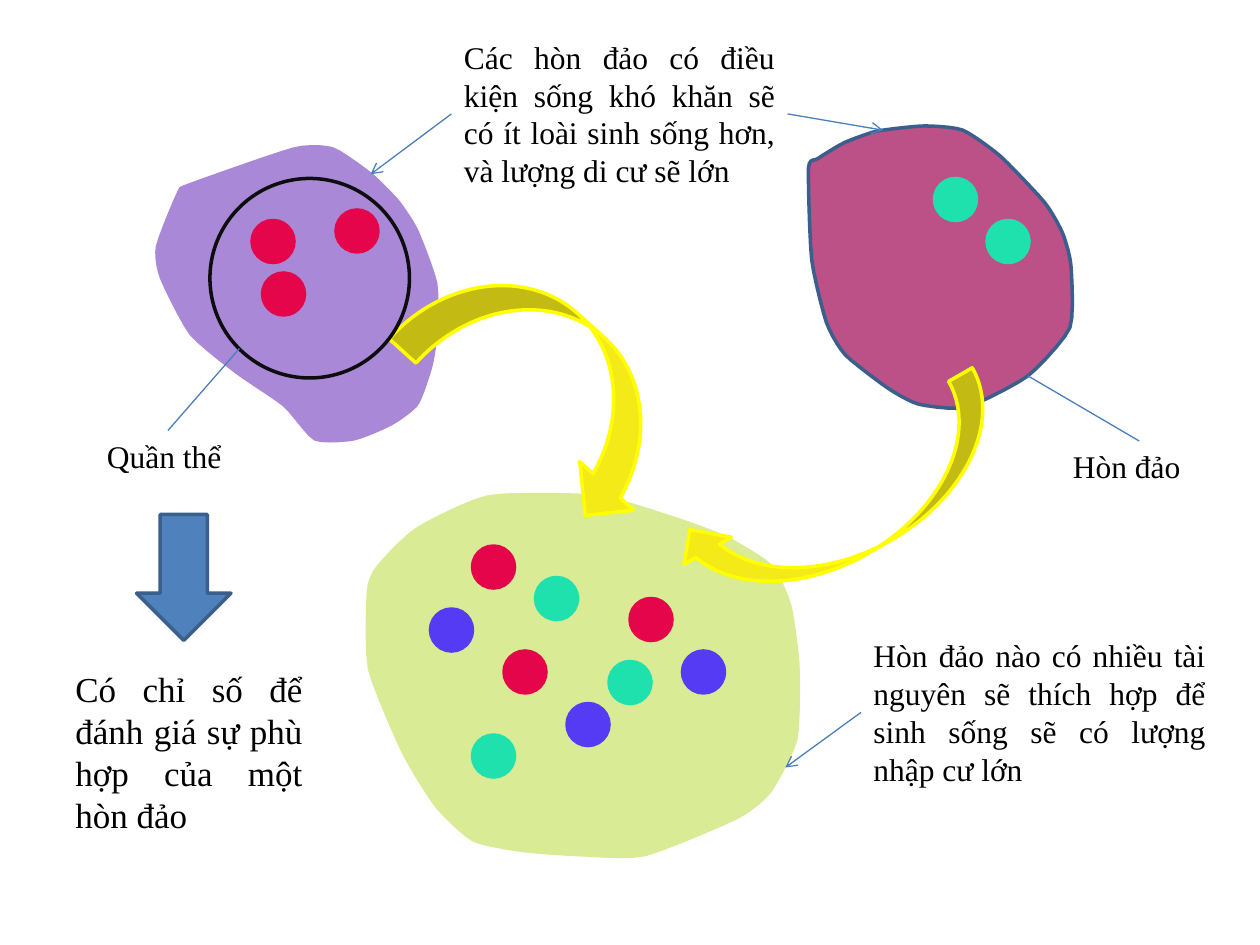
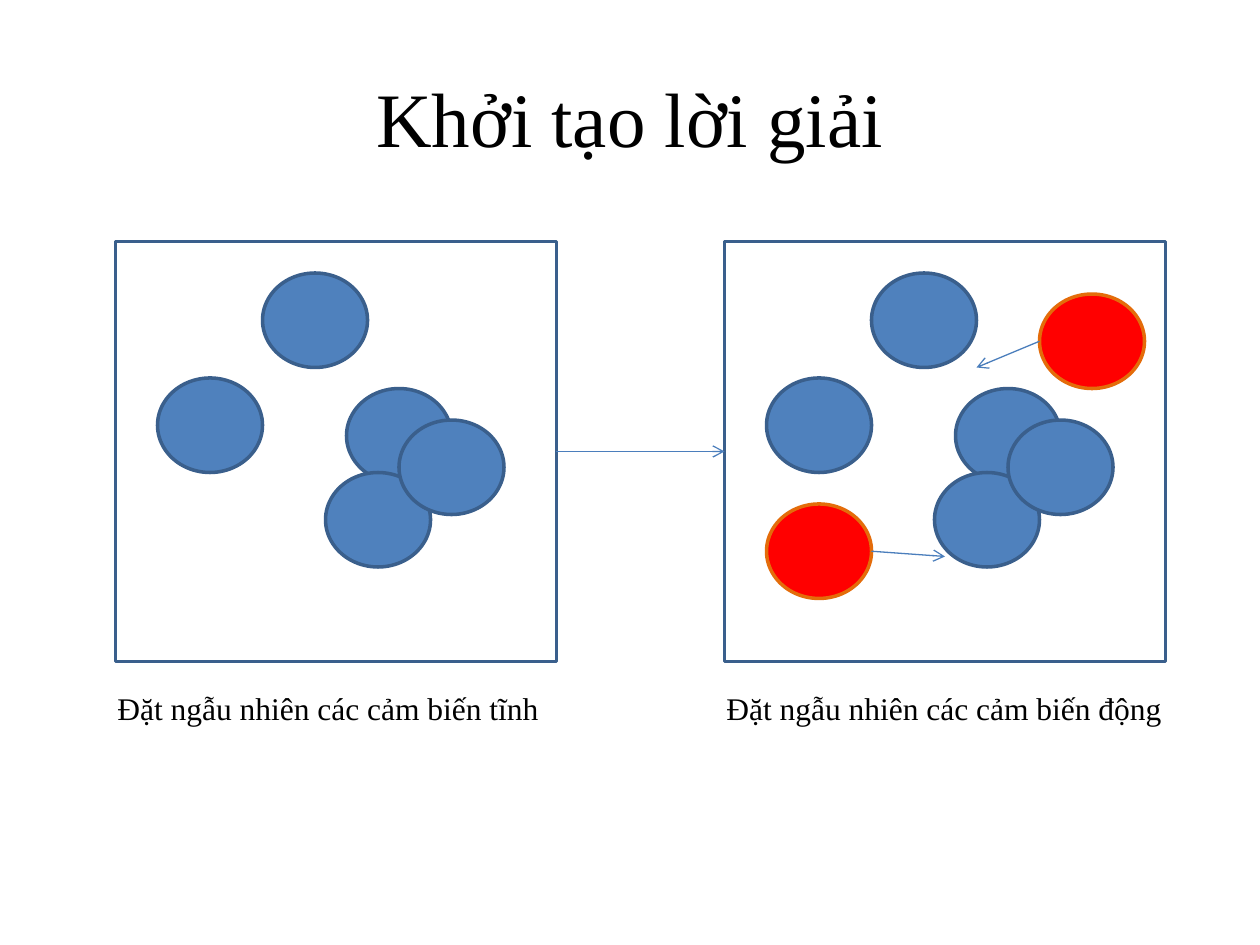
from lxml import etree
from pptx import Presentation
from pptx.dml.color import RGBColor
from pptx.enum.shapes import MSO_CONNECTOR, MSO_SHAPE as Shape
from pptx.enum.text import MSO_ANCHOR as Anchor, MSO_AUTO_SIZE, PP_ALIGN as Align
from pptx.oxml.ns import qn
from pptx.util import Cm, Pt

FONT = "Times New Roman"
COLORS = {
    "text": "000000", "white": "FFFFFF", "blue": "4F81BD", "edge": "3A5F8C",
    "link": "4B7EBC", "red": "FF0000", "orange": "E46C0A", "ring": "0D0D0D",
    "crimson": "E5054A", "mint": "1FE1AE", "indigo": "553BF3",
    "lime": "D9EB95", "violet": "A989D7", "plum": "BB5186",
    "gold": "F4EA18", "yellow": "FFFF00",
}
STEP = 2.54 / 12      # cm per grid step: every place and size below is in steps
SLIDE_W, SLIDE_H = 120, 90
TOP, LEFT, BOTTOM, RIGHT = range(4)

# Islands: (fill, line, coast points clockwise); the coast is smoothed when drawn
ISLANDS = [
    ("lime", "lime", [
        (35.2, 63.7), (35.1, 56.3), (36, 54), (39.7, 50.4), (46.6, 47.3),
        (57, 47.3), (65.2, 49.7), (69.5, 51.4), (73.4, 53.9), (75.2, 57.6),
        (76, 63.4), (75.8, 70.4), (73.3, 75.4), (70.1, 77.9), (61.4, 81.4),
        (55.2, 81.4), (49.8, 81), (45.1, 80), (41.6, 76.8), (38.4, 71.6)]),
    ("violet", "violet", [
        (15, 23.5), (17, 18.4), (18.1, 17.6), (28, 14.2), (31.7, 14.2),
        (35.3, 16.6), (37.9, 19.2), (39.7, 22), (41.5, 27), (41.5, 31.9),
        (41, 35), (39.7, 38.5), (37.2, 40.4), (33.7, 41.8), (30, 41.8),
        (27.1, 38.6), (22.6, 35.5), (18.2, 31.8), (15.4, 26.5)]),
    ("plum", "edge", [
        (77, 16), (77.9, 15.1), (80.4, 13.6), (83.5, 12.5), (88, 12),
        (91.7, 12.4), (95.3, 14.9), (99.5, 19.3), (101.2, 22.2), (102, 25.3),
        (101.9, 31.2), (97.9, 35.8), (92, 38.8), (87.5, 38.5), (84.6, 37),
        (80.5, 33.8), (78.7, 30.7), (77.3, 24.7)]),
]

# Individuals of each species
DOT = 4
SPECIES = {
    "crimson": [(24, 21), (32, 20), (25, 26), (45, 52), (60, 57), (48, 62)],
    "mint": [(94, 21), (89, 17), (58, 63), (45, 70), (51, 55)],
    "indigo": [(41, 58), (54, 67), (65, 62)],
}

# Sensor panels; sensor places are measured from the panel's corner
PANEL_Y, PANEL_W, PANEL_H = 23, 42, 40
STATIC_X, MOBILE_X = 11, 69
SENSOR_W, SENSOR_H = 10, 9
STATIC_SENSORS = [(14, 3), (22, 14), (20, 22), (27, 17), (4, 13)]
# Place, side the sensor leaves from (0 left, 1 right), where it heads
MOBILE_SENSORS = [((4, 25), 1, (21, 30)), ((30, 5), 0, (24, 12))]


def grid(*steps):
    """Turn grid steps into lengths."""
    return [Cm(n * STEP) for n in steps]


def rgb(name):
    return RGBColor.from_string(COLORS[name])


def smooth(points, pieces=5, pull=0.3):
    """Closed Hermite curve through points; pull sets how round it is."""
    curve = []
    for i, (p1, p2) in enumerate(zip(points, points[1:] + points[:1])):
        p0, p3 = points[i - 1], points[(i + 2) % len(points)]
        for t in (k / pieces for k in range(pieces)):
            ease = t * t * (3 - 2 * t)
            leave, arrive = t * (1 - t) ** 2, t * t * (t - 1)
            curve.append(tuple(
                a + (b - a) * ease + pull * ((b - before) * leave + (after - a) * arrive)
                for before, a, b, after in zip(p0, p1, p2, p3)))
    return curve


def write(tf, text, size=18, align=Align.LEFT, anchor=Anchor.TOP):
    tf.word_wrap = True
    tf.vertical_anchor = anchor
    p = tf.paragraphs[0]
    p.alignment = align
    r = p.add_run()
    r.text = text
    r.font.name, r.font.size = FONT, Pt(size)
    r.font.color.rgb = rgb("text")


class Deck:
    """The presentation, its style and the slide being drawn."""

    def __init__(self):
        self.prs = Presentation()
        self.prs.slide_width, self.prs.slide_height = grid(SLIDE_W, SLIDE_H)
        self.shapes = None

    def new_slide(self):
        self.shapes = self.prs.slides.add_slide(self.prs.slide_layouts[6]).shapes

    def paint(self, sp, fill, line):
        sp.shadow.inherit = False
        if fill:
            sp.fill.solid()
            sp.fill.fore_color.rgb = rgb(fill)
        else:
            sp.fill.background()
        sp.line.color.rgb = rgb(line)
        sp.line.width = Pt(2)
        return sp

    def shape(self, kind, x, y, w, h, fill, line):
        return self.paint(self.shapes.add_shape(kind, *grid(x, y, w, h)), fill, line)

    def island(self, fill, line, coast):
        start, *rest = [grid(*point) for point in smooth(coast)]
        builder = self.shapes.build_freeform(*start)
        builder.add_line_segments(rest, close=True)
        self.paint(builder.convert_to_shape(), fill, line)

    def migration(self, x, y, w, h, angle):
        """Curved arrow from one island to another."""
        sp = self.shape(Shape.CURVED_RIGHT_ARROW, x, y, w, h, "gold", "yellow")
        sp.rotation = angle
        sp._element.spPr.find(qn("a:xfrm")).set("flipV", "1")

    def sensor(self, x, y, fill, line):
        self.shape(Shape.OVAL, x, y, SENSOR_W, SENSOR_H, fill, line)

    def text(self, text, x, y, w, h, **style):
        sp = self.shapes.add_textbox(*grid(x, y, w, h))
        write(sp.text_frame, text, **style)
        sp.text_frame.auto_size = MSO_AUTO_SIZE.SHAPE_TO_FIT_TEXT
        return sp

    def title(self, text):
        sp = self.shapes.add_textbox(*grid(6, 3.6, SLIDE_W - 12, 15))
        write(sp.text_frame, text, size=44, align=Align.CENTER, anchor=Anchor.MIDDLE)

    def line(self, start, end, arrow=True):
        cxn = self.shapes.add_connector(MSO_CONNECTOR.STRAIGHT, *grid(*start, *end))
        cxn.line.color.rgb = rgb("link")
        cxn.line.width = Pt(0.75)
        if arrow:
            ln = cxn.line._get_or_add_ln()
            etree.SubElement(ln, qn("a:tailEnd")).set("type", "arrow")
        etree.SubElement(cxn._element.spPr, qn("a:effectLst"))
        return cxn

    def pointer(self, label, side, target, arrow=True):
        """Line from the middle of a label's side to what it describes."""
        self.line(target, target, arrow).begin_connect(label, side)


def islands_slide(deck):
    deck.new_slide()
    for fill, line, coast in ISLANDS:
        deck.island(fill, line, coast)
    for color, places in SPECIES.items():
        for x, y in places:
            deck.shape(Shape.OVAL, x, y, DOT, DOT, color, color)
    deck.migration(75.4, 31.1, 10.4, 33.6, 240.2)
    deck.migration(45.4, 22.4, 13.8, 28.6, 132)
    deck.shape(Shape.OVAL, 20, 17, 19, 19, None, "ring")

    population = deck.text("Quần thể", 9, 41, 14, 4.8)
    island = deck.text("Hòn đảo", 101, 42, 15, 4.8)
    rich = deck.text(
        "Hòn đảo nào có nhiều tài nguyên sẽ thích hợp để sinh sống sẽ có "
        "lượng nhập cư lớn", 82, 60, 34, 15.7, align=Align.JUSTIFY)
    harsh = deck.text(
        "Các hòn đảo có điều kiện sống khó khăn sẽ có ít loài sinh sống hơn, "
        "và lượng di cư sẽ lớn", 43, 3, 32, 15.7, align=Align.JUSTIFY)
    deck.text("Có chỉ số để đánh giá sự phù hợp của một hòn đảo",
              6, 63, 24, 17.4, size=20, align=Align.JUSTIFY)

    deck.pointer(population, TOP, (22.8, 33.2), arrow=False)
    deck.pointer(island, TOP, (97.9, 35.8), arrow=False)
    deck.pointer(rich, LEFT, (74.8, 73.1))
    deck.pointer(harsh, LEFT, (35.3, 16.6))
    deck.pointer(harsh, RIGHT, (84.1, 12.4))
    deck.shape(Shape.DOWN_ARROW, 13, 49, 9, 12, "blue", "edge")


def sensor_panel(deck, x, caption, caption_w):
    """Panel with the static sensors and a caption below."""
    panel = deck.shape(Shape.RECTANGLE, x, PANEL_Y, PANEL_W, PANEL_H, "white", "edge")
    for dx, dy in STATIC_SENSORS:
        deck.sensor(x + dx, PANEL_Y + dy, "blue", "edge")
    deck.text(caption, x - 1, PANEL_Y + PANEL_H + 2, caption_w, 4.8)
    return panel


def sensors_slide(deck):
    deck.new_slide()
    deck.title("Khởi tạo lời giải")
    static = sensor_panel(deck, STATIC_X, "Đặt ngẫu nhiên các cảm biến tĩnh", 43)
    mobile = sensor_panel(deck, MOBILE_X, "Đặt ngẫu nhiên các cảm biến động", 45)
    middle = PANEL_Y + PANEL_H / 2
    next_step = deck.line((STATIC_X + PANEL_W, middle), (MOBILE_X, middle))
    next_step.begin_connect(static, RIGHT)
    next_step.end_connect(mobile, LEFT)

    for (dx, dy), side, (to_x, to_y) in MOBILE_SENSORS:
        x, y = MOBILE_X + dx, PANEL_Y + dy
        deck.sensor(x, y, "red", "orange")
        deck.line((x + side * SENSOR_W, y + SENSOR_H / 2),
                  (MOBILE_X + to_x, PANEL_Y + to_y))


def main():
    deck = Deck()
    islands_slide(deck)
    sensors_slide(deck)
    deck.prs.save("out.pptx")


if __name__ == "__main__":
    main()
